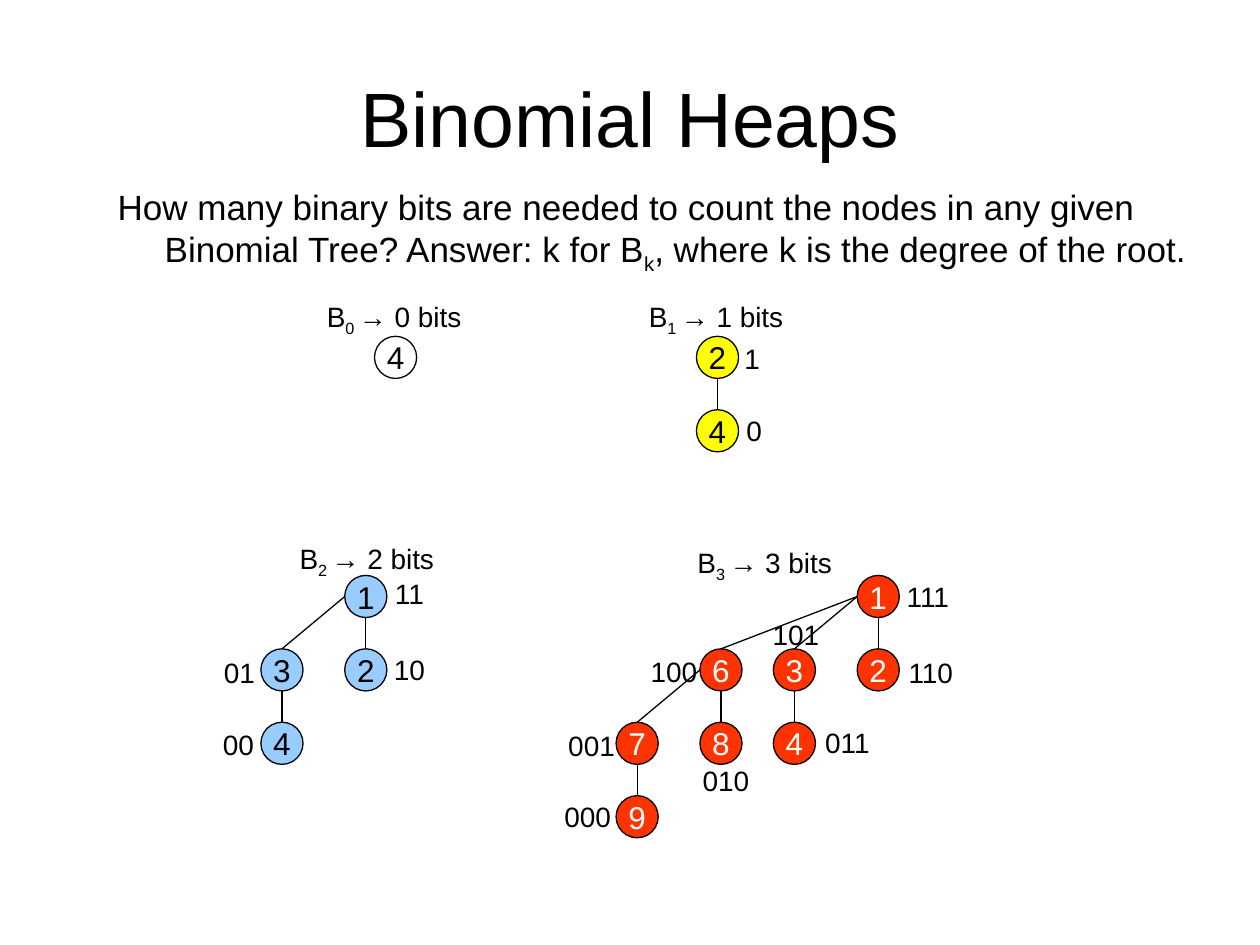
from lxml.etree import SubElement
from pptx import Presentation
from pptx.dml.color import RGBColor
from pptx.enum.shapes import MSO_CONNECTOR, MSO_SHAPE
from pptx.enum.text import MSO_ANCHOR, PP_ALIGN
from pptx.oxml.ns import qn
from pptx.util import Cm, Pt

BLACK = RGBColor(0x00, 0x00, 0x00)
WHITE = RGBColor(0xFF, 0xFF, 0xFF)
YELLOW = RGBColor(0xFF, 0xFF, 0x00)
BLUE = RGBColor(0x99, 0xCC, 0xFF)
RED = RGBColor(0xFF, 0x33, 0x00)

FONT = "Arial"
NODE = 0.85                           # node diameter, cm
LEVEL = 1.48                          # distance between levels, cm
COLUMNS = (0, -1.69, -3.17, -4.86)    # column offsets from the root, cm
TITLE_W, TITLE_H = 3.33, 1.04
LABEL_W, LABEL_H = 1.45, 0.94

# Nodes: value, column, level, parent index, bit label, label offset from the node centre
B0 = [("4", 0, 0, None, "", 0, 0)]
B1 = [
    ("2", 0, 0, None, "1", 0.7, 0.02),
    ("4", 0, 1, 0, "0", 0.74, 0),
]
B2 = [
    ("1", 0, 0, None, "11", 0.88, -0.05),
    ("2", 0, 1, 0, "10", 0.88, 0),
    ("3", 1, 1, 0, "01", -0.86, 0.05),
    ("4", 1, 2, 2, "00", -0.88, 0.02),
]
B3 = [
    ("1", 0, 0, None, "111", 1, 0),
    ("2", 0, 1, 0, "110", 1.06, 0.05),
    ("3", 1, 1, 0, "101", 0.03, -0.71),
    ("4", 1, 2, 2, "011", 1.07, -0.02),
    ("6", 2, 1, 0, "100", -0.95, 0.03),
    ("8", 2, 2, 4, "010", 0.1, 0.76),
    ("7", 3, 2, 4, "001", -0.92, 0.05),
    ("9", 3, 3, 6, "000", -1, 0),
]


def write(tf, runs, size, color=BLACK, align=PP_ALIGN.CENTER):
    """Fill the first paragraph with (text, is_subscript) runs."""
    p = tf.paragraphs[0]
    p.alignment = align
    for text, subscript in runs:
        r = p.add_run()
        r.text = text
        r.font.name = FONT
        r.font.size = Pt(size)
        r.font.color.rgb = color
        if subscript:
            r.font._element.set("baseline", "-25000")
    return p


def add_text(s, x, y, w, h, runs, size, wrap=True, align=PP_ALIGN.CENTER,
             anchor=MSO_ANCHOR.TOP):
    tf = s.shapes.add_textbox(Cm(x), Cm(y), Cm(w), Cm(h)).text_frame
    tf.word_wrap = wrap
    tf.vertical_anchor = anchor
    return write(tf, runs, size, align=align)


def add_node(s, x, y, value, fill, color):
    sp = s.shapes.add_shape(MSO_SHAPE.OVAL, Cm(x), Cm(y), Cm(NODE), Cm(NODE))
    sp.shadow.inherit = False
    if fill is None:
        sp.fill.background()
    else:
        sp.fill.solid()
        sp.fill.fore_color.rgb = fill
    sp.line.color.rgb = BLACK
    sp.line.width = Pt(0.75)
    tf = sp.text_frame
    tf.word_wrap = False
    tf.vertical_anchor = MSO_ANCHOR.MIDDLE
    write(tf, [(value, False)], 18, color)


def add_edge(s, x1, y1, x2, y2):
    line = s.shapes.add_connector(MSO_CONNECTOR.STRAIGHT, Cm(x1), Cm(y1), Cm(x2), Cm(y2))
    line.line.color.rgb = BLACK
    line.line.width = Pt(0.75)
    SubElement(line._element.spPr, qn("a:effectLst"))


def add_heading(s, x, y, w):
    add_text(s, x, y, w, 3.18, [("Binomial Heaps", False)], 44, anchor=MSO_ANCHOR.MIDDLE)


def add_question(s, x, y, w):
    runs = [
        ("How many binary bits are needed to count the nodes in any given "
         "Binomial Tree? Answer: k for B", False),
        ("k", True),
        (", where k is the degree of the root.", False),
    ]
    p = add_text(s, x, y, w, 2.34, runs, 20, align=PP_ALIGN.LEFT)
    pPr = p._p.get_or_add_pPr()
    pPr.set("marL", str(Cm(0.95)))
    pPr.set("indent", str(Cm(-0.95)))


def add_tree(s, x, y, degree, nodes, title_dx, title_dy, fill=None, color=BLACK):
    """Draw a binomial tree whose root has its top left corner at (x, y)."""
    half = NODE / 2
    places = [(x + COLUMNS[n[1]], y + n[2] * LEVEL) for n in nodes]

    # Edges: straight down in a column, otherwise from the parent's left side
    for (nx, ny), node in zip(places, nodes):
        parent = node[3]
        if parent is None:
            continue
        px, py = places[parent]
        if node[1] == nodes[parent][1]:
            start = (px + half, py + NODE)
        else:
            start = (px, py + half)
        add_edge(s, *start, nx + half, ny)

    # Nodes and their bit labels
    for (nx, ny), (value, _, _, _, bits, dx, dy) in zip(places, nodes):
        add_node(s, nx, ny, value, fill, color)
        if bits:
            add_text(s, nx + half + dx - LABEL_W / 2, ny + half + dy - LABEL_H / 2,
                     LABEL_W, LABEL_H, [(bits, False)], 16, wrap=False)

    # Tree title
    runs = [("B", False), (f"{degree} ", True), (f"→ {degree} bits", False)]
    add_text(s, x + title_dx, y + title_dy, TITLE_W, TITLE_H, runs, 16)


def main():
    prs = Presentation()
    prs.slide_width, prs.slide_height = Cm(25.4), Cm(19.05)
    s = prs.slides.add_slide(prs.slide_layouts[6])
    add_heading(s, 1.27, 0.76, 22.86)
    add_question(s, 2.12, 3.62, 22.65)
    add_tree(s, 7.55, 6.78, 0, B0, -1.27, -0.86)
    add_tree(s, 14.04, 6.78, 1, B1, -1.27, -0.86, YELLOW)
    add_tree(s, 6.95, 11.6, 2, B2, -1.22, -0.81, BLUE)
    add_tree(s, 17.28, 11.6, 3, B3, -3.53, -0.72, RED, WHITE)
    prs.save("out.pptx")


if __name__ == "__main__":
    main()
